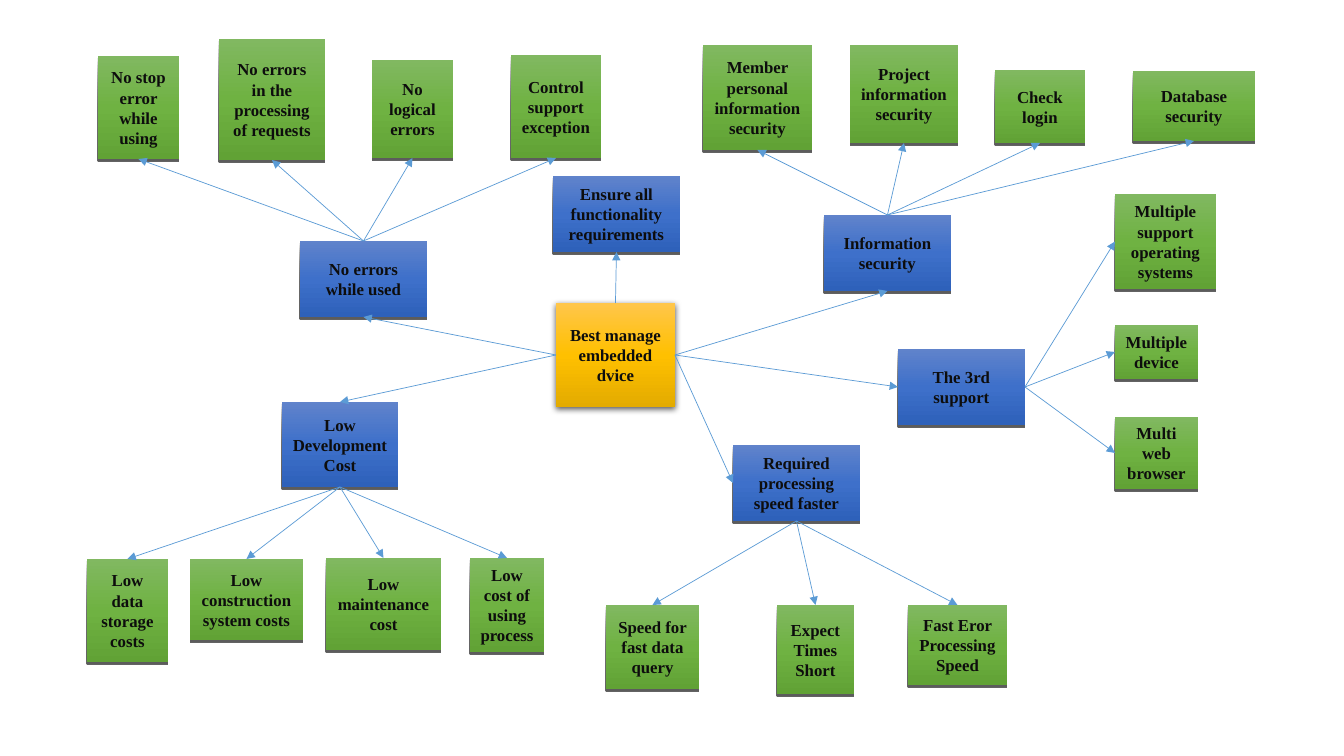
import copy
import pptx
import pptx.util
import pptx.dml.color
import pptx.enum.shapes
import pptx.enum.text
import pptx.oxml
import pptx.oxml.ns

RGBColor = pptx.dml.color.RGBColor
GOLD = (RGBColor(0xFF, 0xC6, 0x4B), RGBColor(0xFF, 0xC0, 0x00), RGBColor(0xE3, 0xAB, 0x00))
BLUE = (RGBColor(0x60, 0x83, 0xCB), RGBColor(0x3E, 0x70, 0xCA), RGBColor(0x2E, 0x61, 0xBA))
GREEN = (RGBColor(0x81, 0xB8, 0x61), RGBColor(0x6F, 0xB2, 0x42), RGBColor(0x61, 0xA2, 0x35))
INK = RGBColor(0x0D, 0x0D, 0x0D)
ARROW = RGBColor(0x5B, 0x9B, 0xD5)
FONT = "Times New Roman"
TOP, LEFT, BOTTOM, RIGHT = range(4)

GOAL = ("Best manage embedded dvice", 556, 303, 119, 104)
BRANCHES = [
    {"box": ("Low Development Cost", 282, 402, 116, 85),
     "goal_link": (LEFT, TOP), "leaf_link": (BOTTOM, TOP),
     "leaves": [("Low data storage costs", 87, 559, 81, 103),
                ("Low construction system costs", 190, 559, 113, 81),
                ("Low maintenance cost", 326, 558, 115, 92),
                ("Low cost of using process", 470, 558, 74, 94)]},
    {"box": ("Required processing speed faster", 733, 445, 127, 76),
     "goal_link": (RIGHT, LEFT), "leaf_link": (BOTTOM, TOP),
     "leaves": [("Speed for fast data query", 606, 605, 93, 84),
                ("Expect Times Short", 777, 605, 77, 89),
                ("Fast Eror Processing Speed", 908, 605, 99, 80)]},
    {"box": ("No errors while used", 300, 241, 127, 76),
     "goal_link": (LEFT, BOTTOM), "leaf_link": (TOP, BOTTOM),
     "leaves": [("No stop error while using", 98, 56, 81, 103),
                ("No errors in the processing of requests", 219, 39, 106, 121),
                ("No logical errors", 372, 60, 81, 98),
                ("Control support exception", 511, 55, 90, 103)]},
    {"box": ("Ensure all functionality requirements", 553, 176, 127, 76),
     "goal_link": (TOP, BOTTOM), "leaf_link": None, "leaves": []},
    {"box": ("Information security", 824, 215, 127, 76),
     "goal_link": (RIGHT, BOTTOM), "leaf_link": (TOP, BOTTOM),
     "leaves": [("Member personal information security", 703, 45, 109, 105),
                ("Project information security", 850, 45, 108, 98),
                ("Check login", 995, 70, 90, 73),
                ("Database security", 1133, 71, 122, 70)]},
    {"box": ("The 3rd support", 898, 349, 127, 76),
     "goal_link": (RIGHT, LEFT), "leaf_link": (RIGHT, LEFT),
     "leaves": [("Multiple support operating systems", 1115, 194, 101, 95),
                ("Multiple device", 1115, 325, 83, 54),
                ("Multi web browser", 1115, 417, 83, 72)]},
]


def px(pixels):
    return round(pixels * 914400 / 100.8)


def add_effects(properties, content=""):
    namespace = pptx.oxml.ns.nsdecls("a")
    properties.append(pptx.oxml.parse_xml(f"<a:effectLst {namespace}>{content}</a:effectLst>"))


def add_box(box, colors, blur=0):
    text, *frame = box
    shape = slide.shapes.add_shape(
        pptx.enum.shapes.MSO_SHAPE.RECTANGLE, *[px(length) for length in frame])
    shape.fill.gradient()
    shape.fill.gradient_angle = 270
    properties = shape._element.spPr
    stop_list = properties.find(".//" + pptx.oxml.ns.qn("a:gsLst"))
    stop_list.insert(1, copy.deepcopy(stop_list[0]))
    for stop, position, color in zip(shape.fill.gradient_stops, (0, 0.5, 1), colors):
        stop.position = position
        stop.color.rgb = color
    shape.line.fill.background()
    add_effects(properties, f'<a:outerShdw blurRad="{pptx.util.Pt(blur)}" '
                f'dist="{pptx.util.Pt(1.5)}" dir="5400000" algn="ctr" rotWithShape="0">'
                '<a:srgbClr val="000000"><a:alpha val="63000"/></a:srgbClr></a:outerShdw>')
    shape.text_frame.text = text
    shape.text_frame.word_wrap = True
    shape.text_frame.vertical_anchor = pptx.enum.text.MSO_ANCHOR.MIDDLE
    paragraph = shape.text_frame.paragraphs[0]
    paragraph.alignment = pptx.enum.text.PP_ALIGN.CENTER
    font = paragraph.runs[0].font
    font.name, font.size, font.bold = FONT, pptx.util.Pt(12), True
    font.color.rgb = INK
    return shape


def add_arrow(source, target, sites):
    connector = slide.shapes.add_connector(
        pptx.enum.shapes.MSO_CONNECTOR.STRAIGHT, 0, 0, 0, 0)
    connector.begin_connect(source, sites[0])
    connector.end_connect(target, sites[1])
    connector.line.color.rgb = ARROW
    connector.line.width = pptx.util.Pt(0.5)
    line = connector.line._get_or_add_ln()
    line.append(pptx.oxml.parse_xml(
        f'<a:tailEnd {pptx.oxml.ns.nsdecls("a")} type="triangle"/>'))
    add_effects(connector._element.spPr)


presentation = pptx.Presentation()
presentation.slide_width, presentation.slide_height = px(1344), px(756)
slide = presentation.slides.add_slide(presentation.slide_layouts[6])

goal = add_box(GOAL, GOLD, blur=4.5)
links = []
for branch in BRANCHES:
    branch_shape = add_box(branch["box"], BLUE)
    links.append((goal, branch_shape, branch["goal_link"]))
    for leaf in branch["leaves"]:
        links.append((branch_shape, add_box(leaf, GREEN), branch["leaf_link"]))
for link in links:
    add_arrow(*link)

presentation.save("out.pptx")
